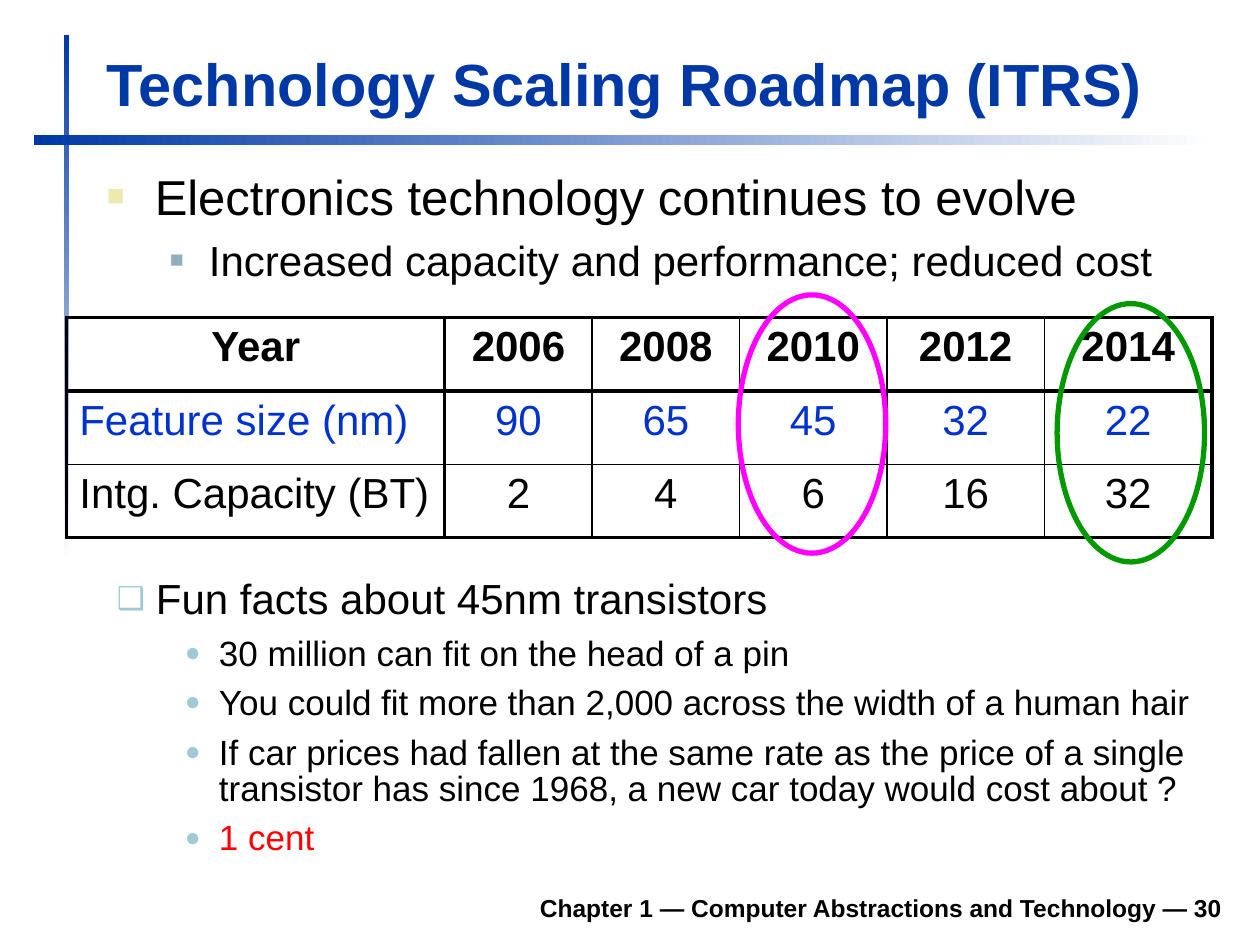
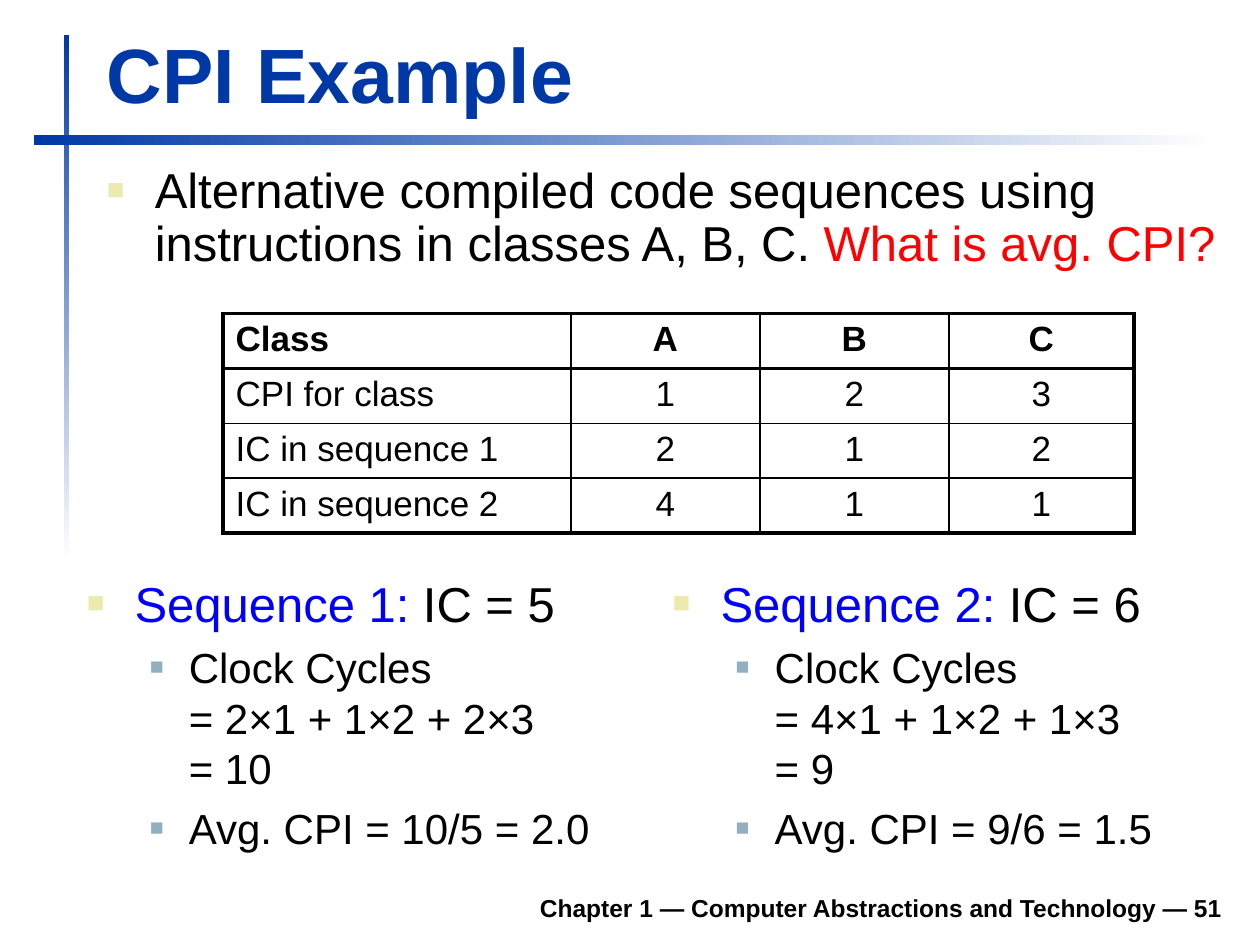
"""Build two computer architecture slides: the scaling roadmap and a CPI example."""
from dataclasses import dataclass

from lxml.etree import SubElement
from pptx import Presentation
from pptx.dml.color import RGBColor
from pptx.enum.shapes import MSO_SHAPE as Shape
from pptx.enum.text import MSO_ANCHOR as Anchor, PP_ALIGN as Align
from pptx.oxml.ns import qn
from pptx.util import Inches, Pt


@dataclass(frozen=True)
class Theme:
    font: str = "Arial"
    navy: str = "0039A6"
    white: str = "FFFFFF"
    black: str = "000000"
    red: str = "FF0000"
    blue: str = "0000FF"
    row_blue: str = "0033CC"
    magenta: str = "FF00FF"
    green: str = "009900"
    sand: str = "ECEAAC"
    steel: str = "91AFBF"
    aqua: str = "9FCAD3"
    footer_size: int = 14
    heavy: float = 2.25
    thin: float = 1
    ring: float = 3


@dataclass(frozen=True)
class Style:
    size: float
    color: str = Theme.black
    bold: bool = False
    align: Align = Align.LEFT
    bullet: str = ""
    bullet_color: str = ""
    bullet_share: int = 100
    left: float = 0
    hang: float = 0
    spacing: float = 1
    before: float = 0


theme = Theme()
point = Style(28, bullet="■", bullet_color=theme.sand, bullet_share=60,
              left=0.38, hang=0.38, before=5.6)
tight_point = Style(28, bullet="■", bullet_color=theme.sand, bullet_share=60,
                    left=0.38, hang=0.38, spacing=0.9)
detail = Style(24, bullet="■", bullet_color=theme.steel, bullet_share=55,
               left=0.81, hang=0.31, before=5.5)
fact_heading = Style(24, bullet="❑", bullet_color=theme.aqua, bullet_share=75,
                     left=0.31, hang=0.31, spacing=0.9)
fact = Style(20, bullet="●", bullet_color=theme.aqua, bullet_share=75,
             left=0.81, hang=0.27, spacing=0.85, before=8)
footer = Style(theme.footer_size, bold=True, align=Align.RIGHT)

deck = Presentation()
deck.slide_width, deck.slide_height = Inches(10), Inches(7.5)
COL, ROW = deck.slide_width / 100, deck.slide_height / 75


def area(left, top, width, height):
    """Turn grid columns and rows into a position and size."""
    return [round(n * unit) for n, unit in zip((left, top, width, height), (COL, ROW) * 2)]


def write(frame, paragraphs, anchor=Anchor.TOP):
    """Fill a text frame with (style, runs) pairs, each run being (text, colour)."""
    frame.word_wrap = True
    frame.vertical_anchor = anchor
    for index, (style, runs) in enumerate(paragraphs):
        paragraph = frame.paragraphs[0] if index == 0 else frame.add_paragraph()
        paragraph.alignment = style.align
        paragraph.line_spacing = style.spacing
        paragraph.space_before = Pt(style.before if index else 0)
        if style.bullet:
            props = paragraph._p.get_or_add_pPr()
            props.set("marL", str(Inches(style.left)))
            props.set("indent", str(-Inches(style.hang)))
            SubElement(SubElement(props, qn("a:buClr")), qn("a:srgbClr"), val=style.bullet_color)
            SubElement(props, qn("a:buSzPct"), val=str(style.bullet_share * 1000))
            SubElement(props, qn("a:buFont"), typeface=theme.font)
            SubElement(props, qn("a:buChar"), char=style.bullet)
        for text, color in runs:
            for line_index, line in enumerate(text.split("\n")):
                if line_index:
                    paragraph.add_line_break()
                run = paragraph.add_run()
                run.text = line
                run.font.name, run.font.size, run.font.bold = theme.font, Pt(style.size), style.bold
                run.font.color.rgb = RGBColor.from_string(color or style.color)


sequences = [
    ("Sequence 1:", " IC = 5", "Clock Cycles\n= 2×1 + 1×2 + 2×3\n= 10", "Avg. CPI = 10/5 = 2.0"),
    ("Sequence 2:", " IC = 6", "Clock Cycles\n= 4×1 + 1×2 + 1×3\n= 9", "Avg. CPI = 9/6 = 1.5"),
]
pages = [
    {
        "title": "Technology Scaling Roadmap (ITRS)", "title_size": 34, "number": 30,
        "table_at": (5.3, 25.2), "columns": [30, 11.7, 11.7, 11.7, 12.5, 13.3], "row": 5.83,
        "size": 24, "label_align": Align.CENTER, "heavy_label": True,
        "row_colors": {1: theme.row_blue},
        "data": [
            ["Year", "2006", "2008", "2010", "2012", "2014"],
            ["Feature size (nm)", "90", "65", "45", "32", "22"],
            ["Intg. Capacity (BT)", "2", "4", "6", "16", "32"],
        ],
        "rings": [(58.6, 23.4, theme.magenta), (83.9, 24.1, theme.green)],
        "texts": [
            ((7.5, 12.7, 92.5, 11.5), [
                (point, [("Electronics technology continues to evolve", None)]),
                (detail, [("Increased capacity and performance; reduced cost", None)]),
            ]),
            ((8.3, 45.4, 88.6, 23.9), [
                (fact_heading, [("Fun facts about 45nm transistors", None)]),
                (fact, [("30 million can fit on the head of a pin", None)]),
                (fact, [("You could fit more than 2,000 across the width of a human hair", None)]),
                (fact, [("If car prices had fallen at the same rate as the price of a single "
                         "transistor has since 1968, a new car today would cost about ?", None)]),
                (fact, [("1 cent", theme.red)]),
            ]),
        ],
    },
    {
        "title": "CPI Example", "title_size": 44, "number": 51,
        "table_at": (17.7, 24.9), "columns": [27.6, 15, 15, 14.7], "row": 4.35,
        "size": 20, "label_align": Align.LEFT, "heavy_label": False, "row_colors": {},
        "data": [
            ["Class", "A", "B", "C"],
            ["CPI for class", "1", "2", "3"],
            ["IC in sequence 1", "2", "1", "2"],
            ["IC in sequence 2", "4", "1", "1"],
        ],
        "rings": [],
        "texts": [
            ((7.5, 12.7, 90.5, 10.9), [
                (tight_point, [("Alternative compiled code sequences using instructions "
                                "in classes A, B, C. ", None), ("What is avg. CPI?", theme.red)]),
            ]),
        ] + [
            ((5.9 + 46.5 * index, 45, 42.5, 22.8), [
                (point, [(name, theme.blue), (count, None)]),
                (detail, [(cycles, None)]),
                (detail, [(average, None)]),
            ]) for index, (name, count, cycles, average) in enumerate(sequences)
        ],
    },
]

for page in pages:
    slide = deck.slides.add_slide(deck.slide_layouts[6])
    shapes = slide.shapes

    for place, angle in (((5.1, 2.8, 0.4, 41.7), 270), ((2.7, 10.7, 93.7, 0.8), 0)):
        band = shapes.add_shape(Shape.RECTANGLE, *area(*place))
        band.shadow.inherit = False
        band.line.fill.background()
        band.fill.gradient()
        band.fill.gradient_angle = angle
        for stop, color, position in zip(band.fill.gradient_stops, (theme.navy, theme.white), (0, 1)):
            stop.color.rgb = RGBColor.from_string(color)
            stop.position = position

    heading = Style(page["title_size"], theme.navy, bold=True)
    write(shapes.add_textbox(*area(7.5, 1.6, 90.3, 8.3)).text_frame,
          [(heading, [(page["title"], None)])], Anchor.BOTTOM)
    write(shapes.add_textbox(*area(18.5, 69.8, 79.5, 3.9)).text_frame,
          [(footer, [(f"Chapter 1 — Computer Abstractions and Technology — {page['number']}", None)])],
          Anchor.BOTTOM)

    data, columns = page["data"], page["columns"]
    last_row, last_column = len(data) - 1, len(columns) - 1
    table = shapes.add_table(len(data), len(columns), *area(
        *page["table_at"], sum(columns), page["row"] * len(data))).table
    table.first_row = table.horz_banding = False
    for column, width in zip(table.columns, columns):
        column.width = round(width * COL)
    for r, values in enumerate(data):
        table.rows[r].height = round(page["row"] * ROW)
        for c, value in enumerate(values):
            cell = table.cell(r, c)
            label_edge = page["heavy_label"]
            edges = {
                "a:lnL": c == 0 or (c == 1 and label_edge),
                "a:lnR": c == last_column or (c == 0 and label_edge),
                "a:lnT": r in (0, 1),
                "a:lnB": r in (0, last_row),
            }
            for tag, is_heavy in edges.items():
                width = Pt(theme.heavy if is_heavy else theme.thin)
                border = SubElement(cell._tc.get_or_add_tcPr(), qn(tag), w=str(width))
                SubElement(SubElement(border, qn("a:solidFill")), qn("a:srgbClr"), val=theme.black)
            cell.fill.background()
            align = Align.CENTER if c else page["label_align"] if r == 0 else Align.LEFT
            entry = Style(page["size"], page["row_colors"].get(r, theme.black), r == 0, align)
            write(cell.text_frame, [(entry, [(value, None)])])

    for left, top, color in page["rings"]:
        ring = shapes.add_shape(Shape.OVAL, *area(left, top, 11.7, 20.5))
        ring.shadow.inherit = False
        ring.fill.background()
        ring.line.color.rgb = RGBColor.from_string(color)
        ring.line.width = Pt(theme.ring)

    for place, paragraphs in page["texts"]:
        write(shapes.add_textbox(*area(*place)).text_frame, paragraphs)

deck.save("out.pptx")
